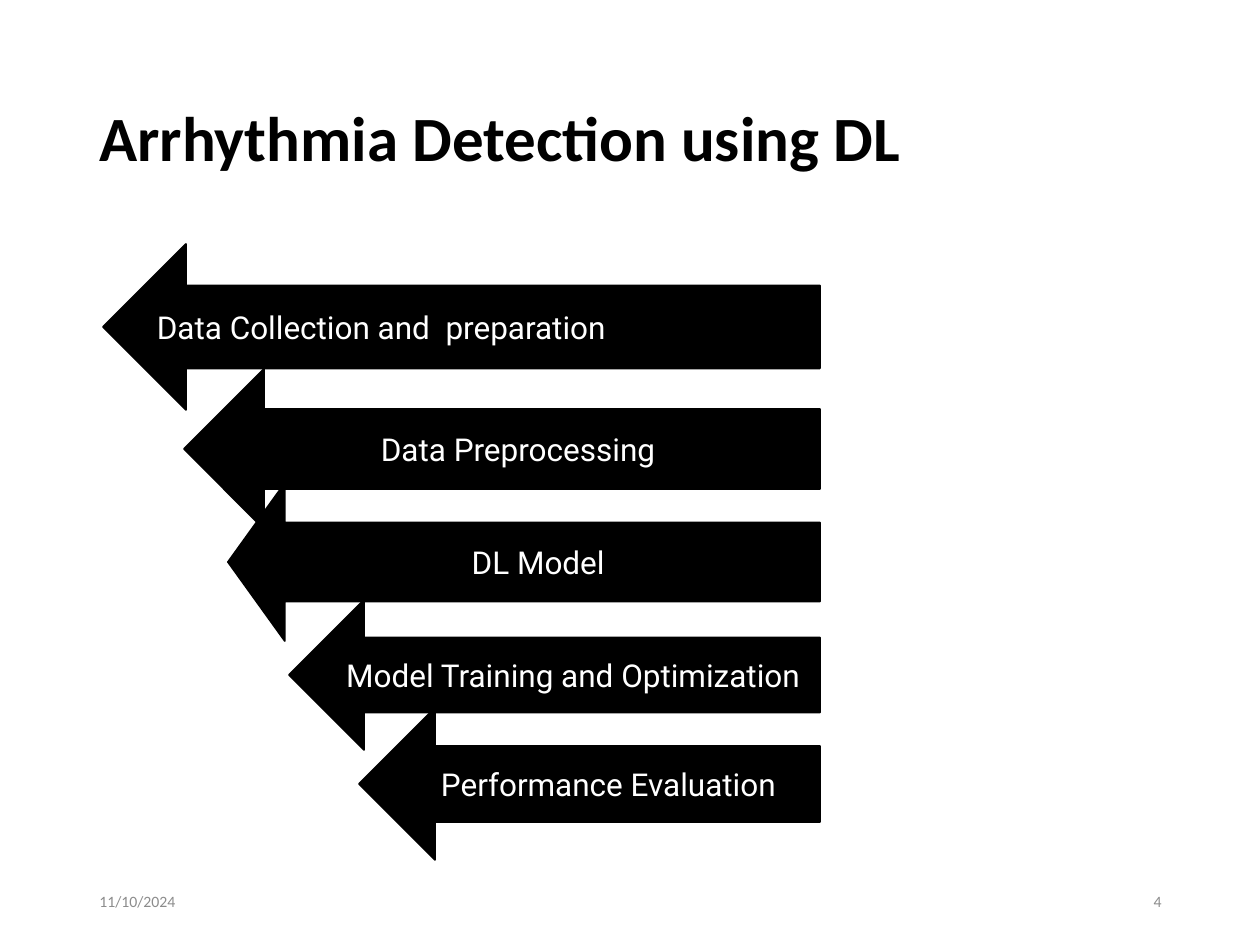
import pptx
import pptx.util
import pptx.dml.color
import pptx.enum.shapes
import pptx.enum.text

SCALE = 914400 / 126
RIGHT = 820
ALIGN = pptx.enum.text.PP_ALIGN
STEPS = [
    ("DL Model", 228, 483, 158, 0.36, ALIGN.CENTER),
    ("Data Collection and  preparation", 103, 244, 166, 0.5, ALIGN.LEFT),
    ("Data Preprocessing ", 184, 369, 160, 0.5, ALIGN.CENTER),
    ("Model Training and Optimization", 289, 600, 150, 0.5, ALIGN.CENTER),
    ("Performance Evaluation", 359, 708, 152, 0.5, ALIGN.CENTER),
]


def px(*vals):
    """Turn pixel lengths into a list of EMU."""
    return [pptx.util.Emu(round(val * SCALE)) for val in vals]


def color(hex):
    """Return the colour for a hex string."""
    return pptx.dml.color.RGBColor.from_string(hex)


def write(shape, text, hue, align=ALIGN.LEFT, space=1.0, **style):
    """Put one formatted paragraph, centred in height, into a shape."""
    frame = shape.text_frame
    frame.word_wrap = True
    frame.vertical_anchor = pptx.enum.text.MSO_ANCHOR.MIDDLE
    par = frame.paragraphs[0]
    par.alignment = align
    par.line_spacing = space
    run = par.add_run()
    run.text = text
    run.font.color.rgb = color(hue)
    for name, value in style.items():
        setattr(run.font, name, value)


def label(slide, box, text, hue, **style):
    """Add a Calibri text box."""
    shape = slide.shapes.add_textbox(*px(*box))
    write(shape, text, hue, name="Calibri", **style)


def arrow(slide, text, left, top, height, head, align):
    """Add a black left arrow that ends at the shared right edge."""
    kind = pptx.enum.shapes.MSO_SHAPE.LEFT_ARROW
    shape = slide.shapes.add_shape(kind, *px(left, top, RIGHT - left, height))
    shape.adjustments[1] = head
    shape.shadow.inherit = False
    shape.fill.solid()
    shape.fill.fore_color.rgb = color("000000")
    shape.line.color.rgb = color("000000")
    shape.line.width = pptx.util.Pt(1)
    write(shape, text, "FFFFFF", align, name="Roboto", size=pptx.util.Pt(18))


def main():
    """Build the slide and save it."""
    deck = pptx.Presentation()
    deck.slide_width, deck.slide_height = px(1260, 945)
    slide = deck.slides.add_slide(deck.slide_layouts[6])
    label(slide, (87, 50, 1086, 183), "Arrhythmia Detection using DL", "000000",
          space=0.9, size=pptx.util.Pt(36), bold=True)
    for step in STEPS:
        arrow(slide, *step)
    for left, text, align in ((87, "11/10/2024", ALIGN.LEFT), (890, "4", ALIGN.RIGHT)):
        label(slide, (left, 876, 284, 50), text, "8C8C8C",
              align=align, size=pptx.util.Pt(9))
    deck.save("out.pptx")


if __name__ == "__main__":
    main()
